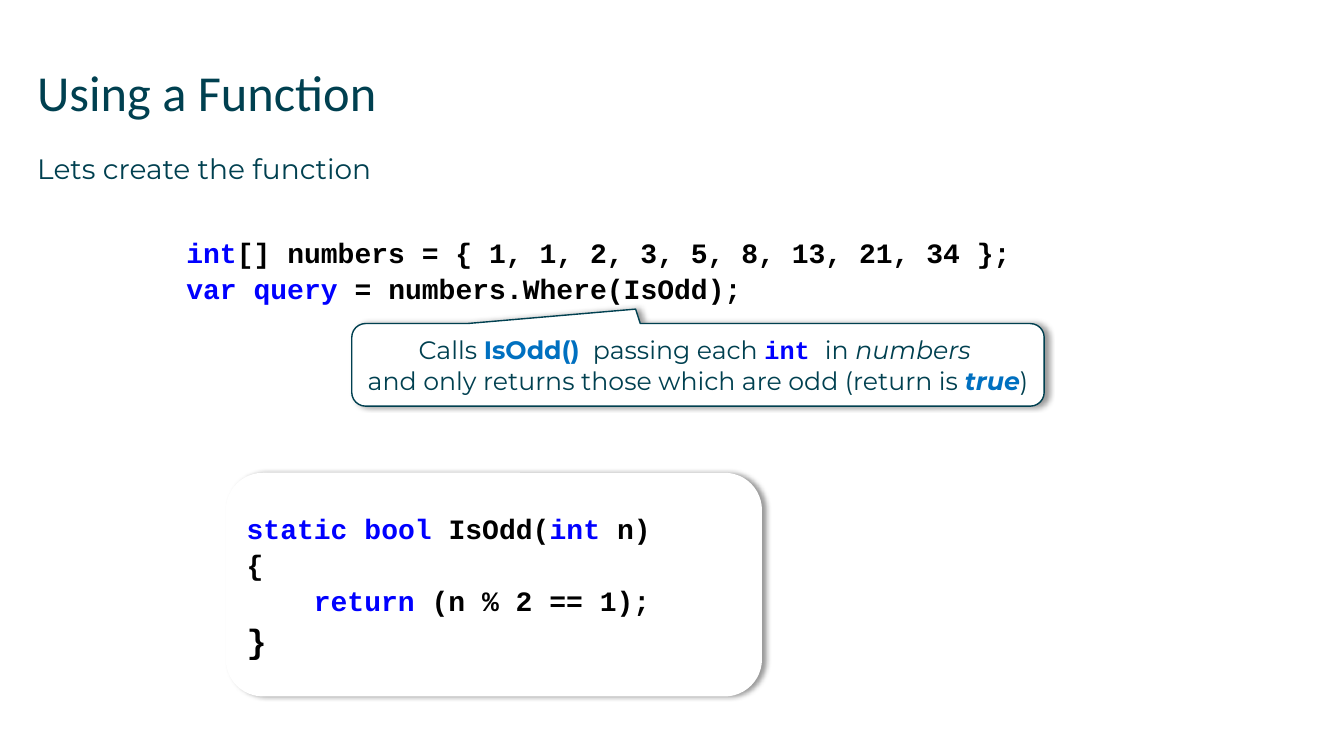
from lxml import etree
from pptx import Presentation
from pptx.dml.color import RGBColor
from pptx.enum.shapes import MSO_SHAPE
from pptx.enum.text import MSO_ANCHOR, PP_ALIGN
from pptx.oxml.ns import qn
from pptx.util import Pt

ROUND = MSO_SHAPE.ROUNDED_RECTANGLE
CALLOUT = MSO_SHAPE.ROUNDED_RECTANGULAR_CALLOUT
TOP, MIDDLE = MSO_ANCHOR.TOP, MSO_ANCHOR.MIDDLE
LEFT, CENTER = PP_ALIGN.LEFT, PP_ALIGN.CENTER

TEAL, BLACK, WHITE = "004050", "000000", "FFFFFF"
KEY, NAME = "0000FF", "0070C0"
HEAD, BODY, MONO = "Calibri", "Montserrat", "Courier New"


def color(code):
    return RGBColor.from_string(code)


def run(text, font=BODY, size=18, ink=TEAL, bold=False, italic=False):
    """Return one piece of text with its format."""
    return text, font, size, ink, bold, italic


def code(text, ink=BLACK, size=20):
    return run(text, MONO, size, ink, bold=True)


def key(text, size=20):
    """Return a keyword of the code."""
    return code(text, KEY, size)


class Page:
    def __init__(self, deck):
        self.slide = deck.slides.add_slide(deck.slide_layouts[6])
        self.gap = 1.07

    def fill(self, frame, rows, anchor=TOP, align=LEFT, gap=None, indents=()):
        """Write rows of runs; indents holds one left margin per row."""
        frame.word_wrap = True
        frame.vertical_anchor = anchor
        for i, row in enumerate(rows):
            para = frame.paragraphs[0] if i == 0 else frame.add_paragraph()
            para.alignment = align
            if gap:
                para.line_spacing = gap
            if indents and indents[i]:
                para._p.get_or_add_pPr().set("marL", str(Pt(indents[i])))
            for text, font, size, ink, bold, italic in row:
                part = para.add_run()
                part.text = text
                part.font.name = font
                part.font.size = Pt(size)
                part.font.color.rgb = color(ink)
                part.font.bold = bold
                part.font.italic = italic

    def text(self, box, rows, inset=True, **style):
        frame = self.slide.shapes.add_textbox(*map(Pt, box)).text_frame
        if not inset:
            frame.margin_left = frame.margin_right = 0
            frame.margin_top = frame.margin_bottom = 0
        self.fill(frame, rows, **style)

    def card(self, kind, box, rows, line=None, adjust=(), **style):
        """Add a white shape with a soft shadow and text."""
        shape = self.slide.shapes.add_shape(kind, *map(Pt, box))
        shape.fill.solid()
        shape.fill.fore_color.rgb = color(WHITE)
        if line:
            shape.line.color.rgb = color(line)
            shape.line.width = Pt(1)
        else:
            shape.line.fill.background()
        for i, value in enumerate(adjust):
            shape.adjustments[i] = value
        self.shade(shape)
        self.fill(shape.text_frame, rows, anchor=MIDDLE, **style)

    def shade(self, shape):
        shape.shadow.inherit = False
        effects = shape._element.spPr.find(qn("a:effectLst"))
        outer = etree.SubElement(
            effects, qn("a:outerShdw"), blurRad=str(Pt(4)), dist=str(Pt(3)),
            dir="0", algn="l", rotWithShape="0")
        tone = etree.SubElement(outer, qn("a:srgbClr"), val=BLACK)
        etree.SubElement(tone, qn("a:alpha"), val="40000")


def main():
    deck = Presentation()
    deck.slide_width, deck.slide_height = Pt(960), Pt(540)
    page = Page(deck)

    page.text((26.6, 108, 906.5, 390.2),
              [[run("Lets create the function", size=20)]], inset=False)
    page.text((26.6, 44, 907.2, 63.4),
              [[run("Using a Function", HEAD, 36)]], inset=False)

    page.text((126, 162.7, 653.8, 79.9), [
        [key("int"), code("[] numbers = { 1, 1, 2, 3, 5, 8, 13, 21, 34 };")],
        [key("var query "), code("= numbers.Where(IsOdd);")],
    ], gap=page.gap)

    page.card(ROUND, (161.3, 337.7, 383, 159.8), [
        [key("static"), code(" "), key("bool"), code(" IsOdd("),
         key("int"), code(" n)")],
        [code("{")],
        [key("return"), code(" (n % 2 == 1);")],
        [code("}", size=24)],
    ], gap=page.gap, indents=(0, 0, 48, 0))

    page.card(CALLOUT, (251.3, 231.1, 494.6, 59), [
        [run("Calls "), run("IsOdd()", ink=NAME, bold=True),
         run("  passing each "), key("int ", 18), run("in "),
         run("numbers ", italic=True)],
        [run("and only returns those which are odd (return is "),
         run("true", ink=NAME, bold=True, italic=True), run(")")],
    ], line=TEAL, adjust=(-0.09, -0.675, 0.167), align=CENTER)

    deck.save("out.pptx")


if __name__ == "__main__":
    main()
